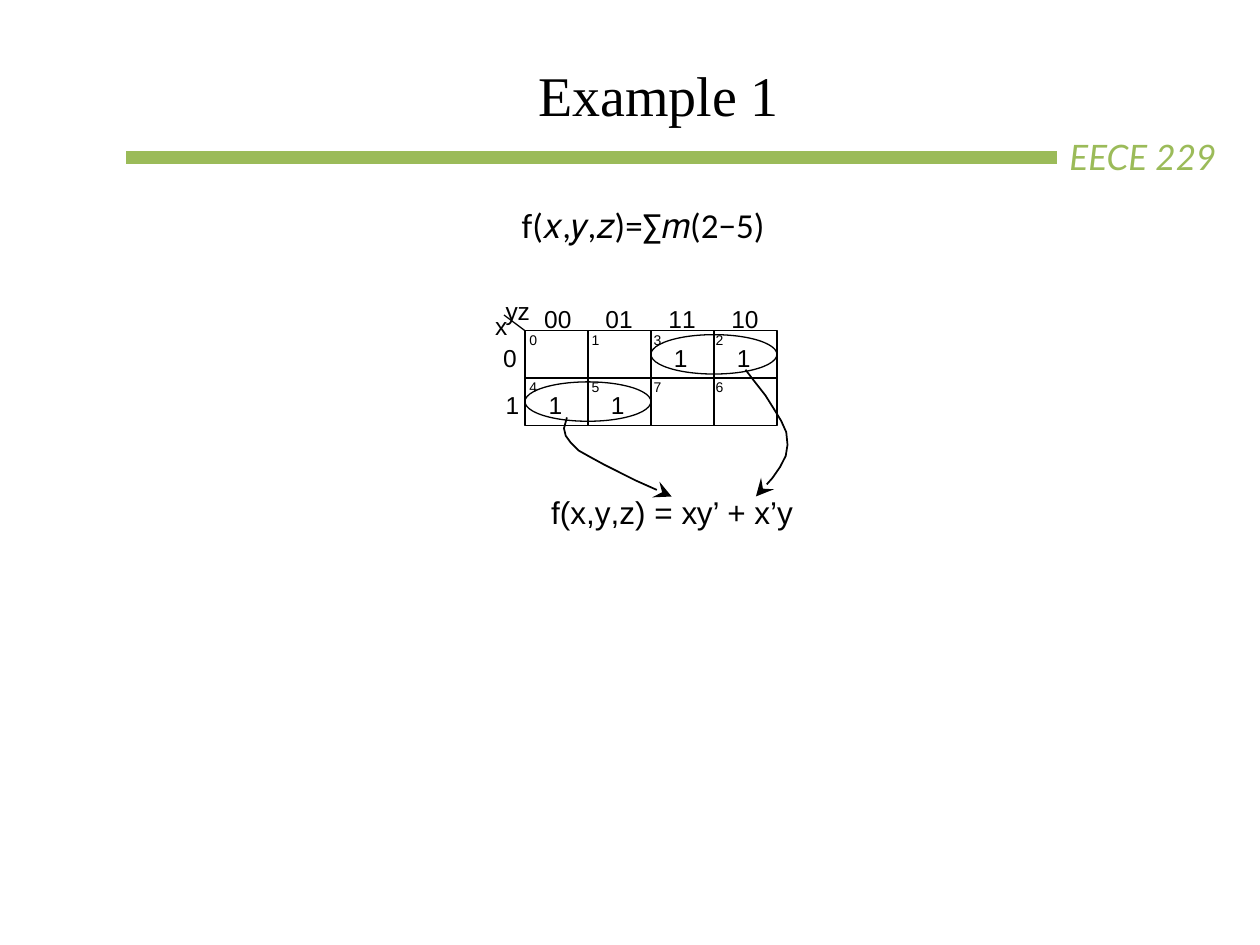
from lxml import etree
from pptx import Presentation
from pptx.dml.color import RGBColor
from pptx.enum import shapes, text
from pptx.oxml.ns import qn
from pptx.util import Pt

BLACK = RGBColor(0, 0, 0)
GREEN = RGBColor(0x9B, 0xBB, 0x59)

# Karnaugh map grid
MAP_LEFT, MAP_TOP = 300, 189
CELL_W, CELL_H = 36, 27
MINTERMS = (("0", "1", "3", "2"), ("4", "5", "7", "6"))
LOOP_H = 22.5

ARROW_TO_XY = ((324, 238.5), (322.3, 244.8), (323.3, 249), (326.2, 253),
               (330.8, 257.5), (337, 261), (345.6, 265.7), (363.6, 274.7),
               (383.8, 283.7))
ARROW_TO_X_Y = ((426, 211.3), (431.3, 218.2), (437.4, 226), (442, 233.3),
                (446.4, 240.5), (449.3, 247), (450, 254.2), (449, 260.6),
                (445.7, 267), (441.4, 273.2), (432, 283.7))


def add_runs(para, runs, size, font, color=BLACK, italic=False):
    """Add (text, letter spacing) runs to a paragraph."""
    for words, spacing in runs:
        span = para.add_run()
        span.text = words
        span.font.size = Pt(size)
        span.font.name = font
        span.font.color.rgb = color
        span.font.italic = italic
        if spacing:
            span.font._element.set("spc", str(round(spacing * 100)))


def add_tabs(para, stops):
    tab_list = etree.SubElement(para._p.get_or_add_pPr(), qn("a:tabLst"))
    for stop in stops:
        etree.SubElement(tab_list, qn("a:tab"), pos=str(Pt(stop)), algn="l")


def add_text(page, x, y, width, height, runs, size, font="Arial", tabs=()):
    """Add a one-line label with only a small left inset."""
    box = page.shapes.add_textbox(Pt(x), Pt(y), Pt(width), Pt(height))
    frame = box.text_frame
    frame.word_wrap = True
    frame.margin_left = Pt(1)
    frame.margin_top = frame.margin_right = frame.margin_bottom = 0
    para = frame.paragraphs[0]
    if tabs:
        add_tabs(para, tabs)
    add_runs(para, runs, size, font)


def add_caption(page, x, y, width, words, font, color, italic=False):
    """Add a 20 point caption with default insets."""
    box = page.shapes.add_textbox(Pt(x), Pt(y), Pt(width), Pt(32))
    box.text_frame.word_wrap = False
    add_runs(box.text_frame.paragraphs[0], [(words, 0)], 20, font, color, italic)


def add_line(page, x1, y1, x2, y2, color, width):
    line = page.shapes.add_connector(shapes.MSO_CONNECTOR.STRAIGHT,
                                     Pt(x1), Pt(y1), Pt(x2), Pt(y2))
    line.line.color.rgb = color
    line.line.width = Pt(width)
    etree.SubElement(line._element.spPr, qn("a:effectLst"))


def style_outline(shape, width=0.75):
    shape.shadow.inherit = False
    shape.fill.background()
    shape.line.color.rgb = BLACK
    shape.line.width = Pt(width)


def add_outline(page, kind, x, y, width, height):
    style_outline(page.shapes.add_shape(kind, Pt(x), Pt(y), Pt(width), Pt(height)))


def add_curved_arrow(page, points):
    start, *rest = [(Pt(x), Pt(y)) for x, y in points]
    builder = page.shapes.build_freeform(*start)
    builder.add_line_segments(rest, close=False)
    arrow = builder.convert_to_shape()
    style_outline(arrow, 1)
    etree.SubElement(arrow.line._get_or_add_ln(), qn("a:tailEnd"),
                     type="stealth", w="lg", len="lg")


def add_title(page):
    title = page.shapes.title
    title.left, title.top, title.width, title.height = Pt(-60), Pt(23), Pt(648), Pt(50.4)
    frame = title.text_frame
    frame.auto_size = text.MSO_AUTO_SIZE.NONE
    frame.vertical_anchor = text.MSO_ANCHOR.MIDDLE
    frame.margin_left = frame.margin_right = frame.margin_bottom = 0
    frame.margin_top = Pt(11.5)
    para = frame.paragraphs[0]
    para.alignment = text.PP_ALIGN.CENTER
    para._p.get_or_add_pPr().set("marL", str(Pt(224.6)))
    add_runs(para, [("Exam", -0.1), ("p", 0), ("le 1", -0.1)], 32, "Times New Roman")


def add_map(page):
    # Cells and minterm numbers
    for row, numbers in enumerate(MINTERMS):
        y = MAP_TOP + row * CELL_H
        for column, number in enumerate(numbers):
            add_outline(page, shapes.MSO_SHAPE.RECTANGLE,
                        MAP_LEFT + column * CELL_W, y, CELL_W, CELL_H)
            add_text(page, MAP_LEFT + 1.5 + column * 35.5, y + 0.5, 6.5, 9.4,
                     [(number, 0)], 8)

    # Axis names and headings
    add_line(page, 288, 180, MAP_LEFT, MAP_TOP, BLACK, 0.75)
    add_text(page, 282, 178, 9.5, 17, [("x", 0)], 14)
    add_text(page, 288, 169, 16, 17, [("yz", -0.2)], 14)
    add_text(page, 310, 173.5, 126, 17,
             [("0", -0.1), ("0\t", 0), ("0", -0.1), ("1\t", 0),
              ("1", -1.1), ("1\t", 0), ("10", -0.1)], 14, tabs=(35, 71, 107))

    # Row headings and ones; the lower heading shares a line with its first one
    add_text(page, 286.5, MAP_TOP + 7, 10, 17, [("0", 0)], 14)
    add_text(page, 288, MAP_TOP + CELL_H + 7, 36, 17, [("1\t1", 0)], 14, tabs=(24.5,))
    for row, column in ((0, 2), (0, 3), (1, 1)):
        add_text(page, MAP_LEFT + column * CELL_W + 12,
                 MAP_TOP + row * CELL_H + 7, 10, 17, [("1", 0)], 14)

    # Loops around adjacent ones
    for row, column in ((0, 2), (1, 0)):
        add_outline(page, shapes.MSO_SHAPE.OVAL, MAP_LEFT + column * CELL_W,
                    MAP_TOP + row * CELL_H + (CELL_H - LOOP_H) / 2,
                    2 * CELL_W, LOOP_H)


def main():
    deck = Presentation()
    deck.slide_width, deck.slide_height = Pt(720), Pt(540)
    page = deck.slides.add_slide(deck.slide_layouts[5])

    # Header
    add_line(page, 72, 90, 604, 90, GREEN, 8)
    add_caption(page, 604, 74, 120, "EECE 229", "Lato", GREEN, italic=True)
    add_title(page)

    # Function and its map
    add_caption(page, 291, 112.5, 156, "f(𝑥,𝑦,𝑧)=∑𝑚(2−5)", "Calibri", BLACK)
    add_map(page)

    # Simplified result
    add_text(page, 314, 282, 150, 21.6,
             [("f(", 0), ("x", -0.2), (",", 0), ("y", -1.3), (",z) = ", 0),
              ("xy", -0.2), ("’ + ", 0), ("x", -0.2), ("’y", 0)], 18)
    for points in (ARROW_TO_XY, ARROW_TO_X_Y):
        add_curved_arrow(page, points)

    deck.save("out.pptx")


if __name__ == "__main__":
    main()
